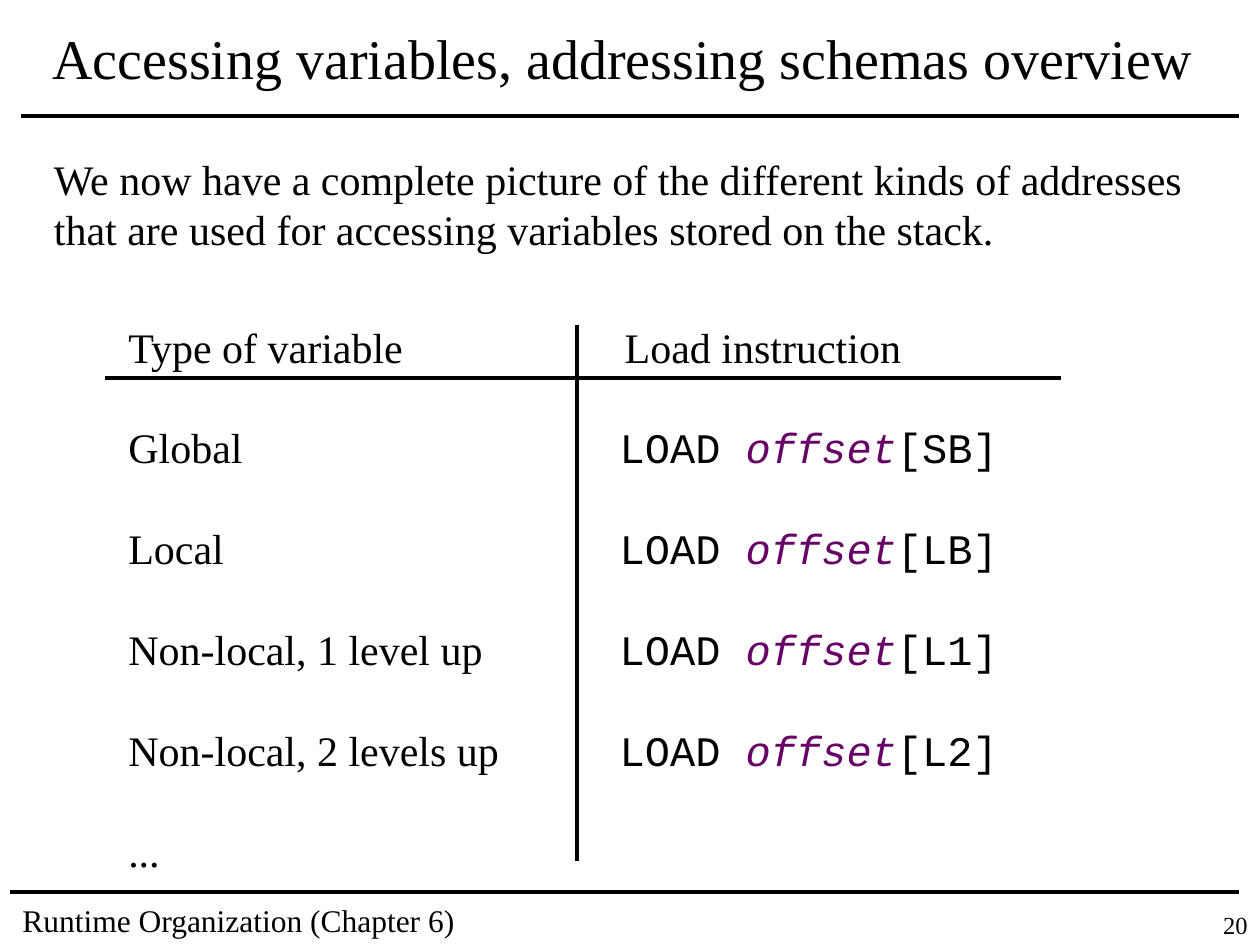
from lxml.etree import SubElement as Sub
from pptx import Presentation
from pptx.dml.color import RGBColor as RGB
from pptx.enum.shapes import MSO_CONNECTOR as Conn
from pptx.enum.text import MSO_ANCHOR as Anchor, PP_ALIGN as Align
from pptx.oxml.ns import qn
from pptx.util import Inches, Pt

SERIF, MONO = "Times New Roman", "Courier New"
BLACK, PURPLE = "000000", "660066"
LEAD = Pt(28.8)
ROWS = [("Global", "SB"), ("Local", "LB"), ("Non-local, 1 level up", "L1"),
        ("Non-local, 2 levels up", "L2"), ("...", None)]


def color(target, code):
    target.rgb = RGB.from_string(code)


def style(run, size, face=SERIF, code=BLACK, slant=False):
    font = run.font
    font.size, font.name, font.italic = Pt(size), face, slant
    color(font.color, code)


def rule(slide, x1, y1, x2, y2):
    line = slide.shapes.add_connector(
        Conn.STRAIGHT, Inches(x1), Inches(y1), Inches(x2), Inches(y2))
    line.line.width = Pt(2.25)
    color(line.line.color, BLACK)
    Sub(line._element.spPr, qn("a:effectLst"))


def place(slide, box, paras, size=24, face=SERIF, wrap=True, gap=0, lead=None,
          align=Align.LEFT):
    frame = slide.shapes.add_textbox(*map(Inches, box)).text_frame
    frame.word_wrap = wrap
    for i, parts in enumerate(paras):
        para = frame.add_paragraph() if i else frame.paragraphs[0]
        para.alignment = align
        para.line_spacing = lead
        para.space_before = gap if i else 0
        for text, code, slant in parts:
            run = para.add_run()
            run.text = text
            style(run, size, face, code, slant)


def plain(text):
    return [(text, BLACK, False)]


def load(base):
    return [("LOAD ", BLACK, False), ("offset", PURPLE, True),
            (f"[{base}]", BLACK, False)]


def header(slide, box):
    left, top, width, height = box
    title = slide.shapes.title
    title.left, title.top, title.width, title.height = map(Inches, box)
    frame = title.text_frame
    frame.text = "Accessing variables, addressing schemas overview "
    frame.vertical_anchor = Anchor.MIDDLE
    frame.word_wrap = True
    para = frame.paragraphs[0]
    para.alignment = Align.CENTER
    style(para.runs[0], 32)
    line = top + height + 0.09
    rule(slide, left - 0.08, line, left + width + 0.08, line)


def schemas(slide, box):
    left, top, width, height = box
    mid = left + 3.75
    names = ["Type of variable"] + [name for name, base in ROWS]
    place(slide, (left + 0.09, top, 3.4, 4.5), map(plain, names),
          gap=LEAD, lead=LEAD)
    place(slide, (mid + 0.28, top, 3, 0.5), [plain("Load instruction")],
          lead=LEAD)
    place(slide, (mid + 0.24, top + 0.8, 3.5, 2.9),
          [load(base) for name, base in ROWS if base],
          face=MONO, gap=LEAD, lead=LEAD)
    rule(slide, left, top + 0.5, left + width, top + 0.5)
    rule(slide, mid, top + 0.08, mid, top + 0.08 + height)


def footer(slide, box):
    left, top, width, height = box
    rule(slide, left, top, left + width, top)
    place(slide, (left, top + 0.02, 3.83, 0.4),
          [plain("Runtime Organization (Chapter 6)")], size=18)
    place(slide, (left + 9.17, top + 0.09, 0.75, 0.33), [plain("20")],
          size=14, align=Align.RIGHT)


def main():
    deck = Presentation()
    deck.slide_width, deck.slide_height = Inches(10), Inches(7.5)
    slide = deck.slides.add_slide(deck.slide_layouts[5])
    header(slide, (0.25, 0.08, 9.5, 0.75))
    place(slide, (0.33, 1.17, 9.42, 0.9), [plain(
        "We now have a complete picture of the different kinds of addresses "
        "that are used for accessing variables stored on the stack.")], lead=LEAD)
    schemas(slide, (0.83, 2.5, 7.59, 4.25))
    footer(slide, (0.08, 7.08, 9.75, 0.42))
    deck.save("out.pptx")


if __name__ == "__main__":
    main()
